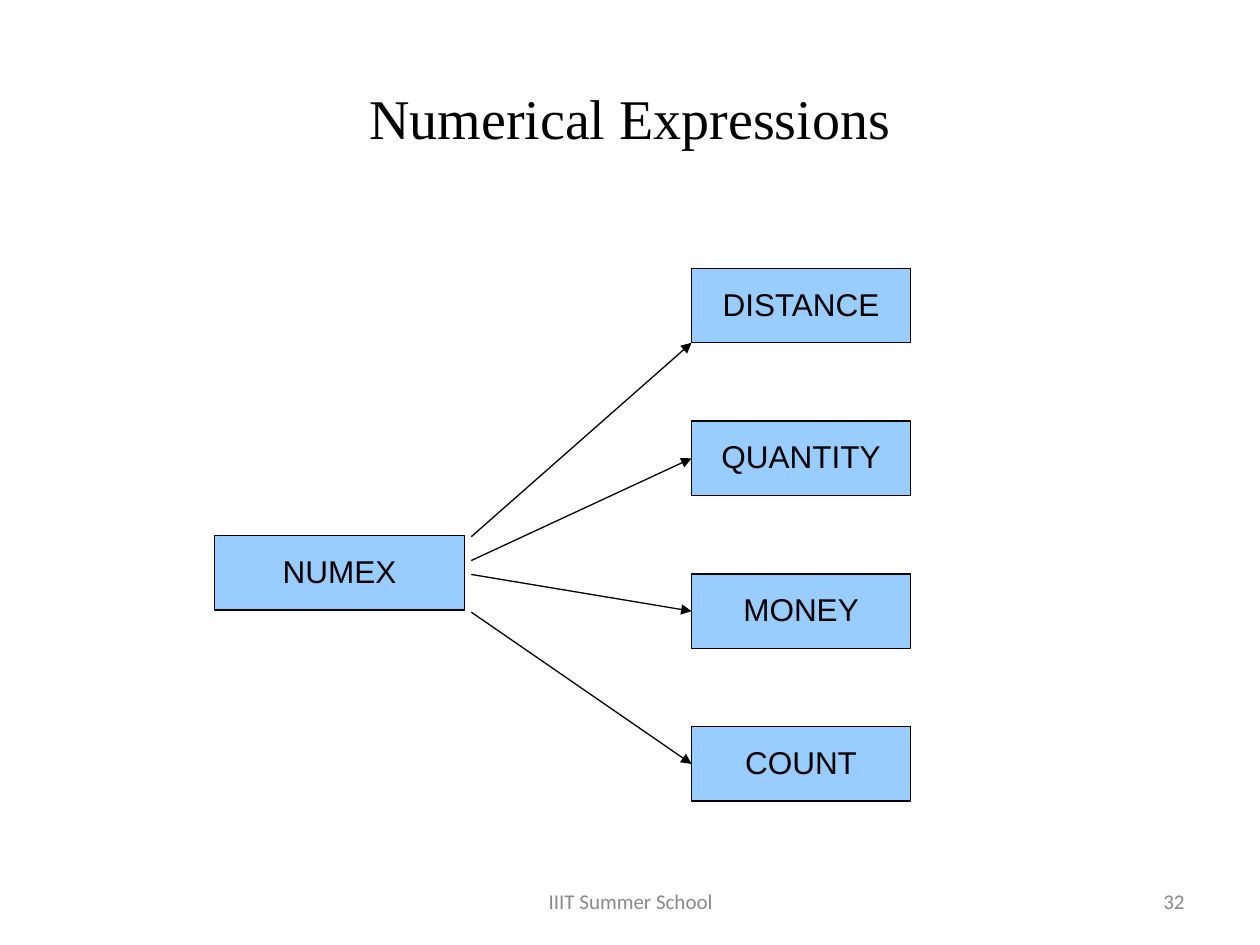
from pptx import Presentation
from pptx.dml.color import RGBColor
from pptx.enum.shapes import MSO_CONNECTOR as LINK, MSO_SHAPE as SHAPE
from pptx.enum.text import MSO_ANCHOR as ANCHOR, PP_ALIGN as ALIGN
from pptx.oxml.ns import qn
from pptx.util import Cm, Pt
from lxml.etree import SubElement

BLACK = RGBColor(0x00, 0x00, 0x00)
BLUE = RGBColor(0x99, 0xCC, 0xFF)
GREY = RGBColor(0x89, 0x89, 0x89)

# Text, box (left, top, width, height), font, size, colour, alignment
LABELS = [
    ("Numerical Expressions", (1.27, 0.36, 22.86, 3.99),
     "Times New Roman", 32, BLACK, ALIGN.CENTER),
    ("32", (18.21, 17.65, 5.92, 1.02), "Calibri", 12, GREY, ALIGN.RIGHT),
    ("IIIT Summer School", (8.69, 17.65, 8.05, 1.02),
     "Calibri", 12, GREY, ALIGN.CENTER),
]
ROOT = "NUMEX"
# Type, height at which its arrow leaves the root, where it meets the box
# (as a share of the box height)
TYPES = [
    ("DISTANCE", 10.82, 1),
    ("QUANTITY", 11.3, 0.5),
    ("MONEY", 11.58, 0.5),
    ("COUNT", 12.34, 0.5),
]

BOX_H = 1.5
ROOT_X, ROOT_Y, ROOT_W = 4.32, 10.8, 5.05
TYPE_X, TYPE_Y, TYPE_W = 13.94, 5.41, 4.42
STEP = 3.08
GAP = 0.13


def write(shape, text, font, size, color, align, spacing=1.0):
    frame = shape.text_frame
    frame.word_wrap = True
    frame.vertical_anchor = ANCHOR.MIDDLE
    para = frame.paragraphs[0]
    para.alignment = align
    para.line_spacing = spacing
    run = para.add_run()
    run.text = text
    run.font.name = font
    run.font.size = Pt(size)
    run.font.color.rgb = color


def add_box(slide, text, x, y, w):
    box = slide.shapes.add_shape(
        SHAPE.ROUNDED_RECTANGLE, Cm(x), Cm(y), Cm(w), Cm(BOX_H))
    box.adjustments[0] = 0
    box.shadow.inherit = False
    box.fill.solid()
    box.fill.fore_color.rgb = BLUE
    box.line.color.rgb = BLACK
    box.line.width = Pt(0.75)
    write(box, text, "Arial", 18, BLACK, ALIGN.CENTER, 0.93)


def add_arrow(slide, x1, y1, x2, y2):
    arrow = slide.shapes.add_connector(
        LINK.STRAIGHT, Cm(x1), Cm(y1), Cm(x2), Cm(y2))
    arrow.line.color.rgb = BLACK
    arrow.line.width = Pt(0.75)
    SubElement(arrow.line._get_or_add_ln(), qn("a:tailEnd"), type="triangle")
    SubElement(arrow._element.spPr, qn("a:effectLst"))


def main():
    deck = Presentation()
    deck.slide_width, deck.slide_height = Cm(25.4), Cm(19.05)
    slide = deck.slides.add_slide(deck.slide_layouts[6])

    for text, area, *style in LABELS:
        label = slide.shapes.add_textbox(*map(Cm, area))
        write(label, text, *style)

    add_box(slide, ROOT, ROOT_X, ROOT_Y, ROOT_W)
    for row, (name, start, share) in enumerate(TYPES):
        top = TYPE_Y + row * STEP
        add_box(slide, name, TYPE_X, top, TYPE_W)
        add_arrow(slide, ROOT_X + ROOT_W + GAP, start,
                  TYPE_X, top + share * BOX_H)

    deck.save("out.pptx")


if __name__ == "__main__":
    main()
